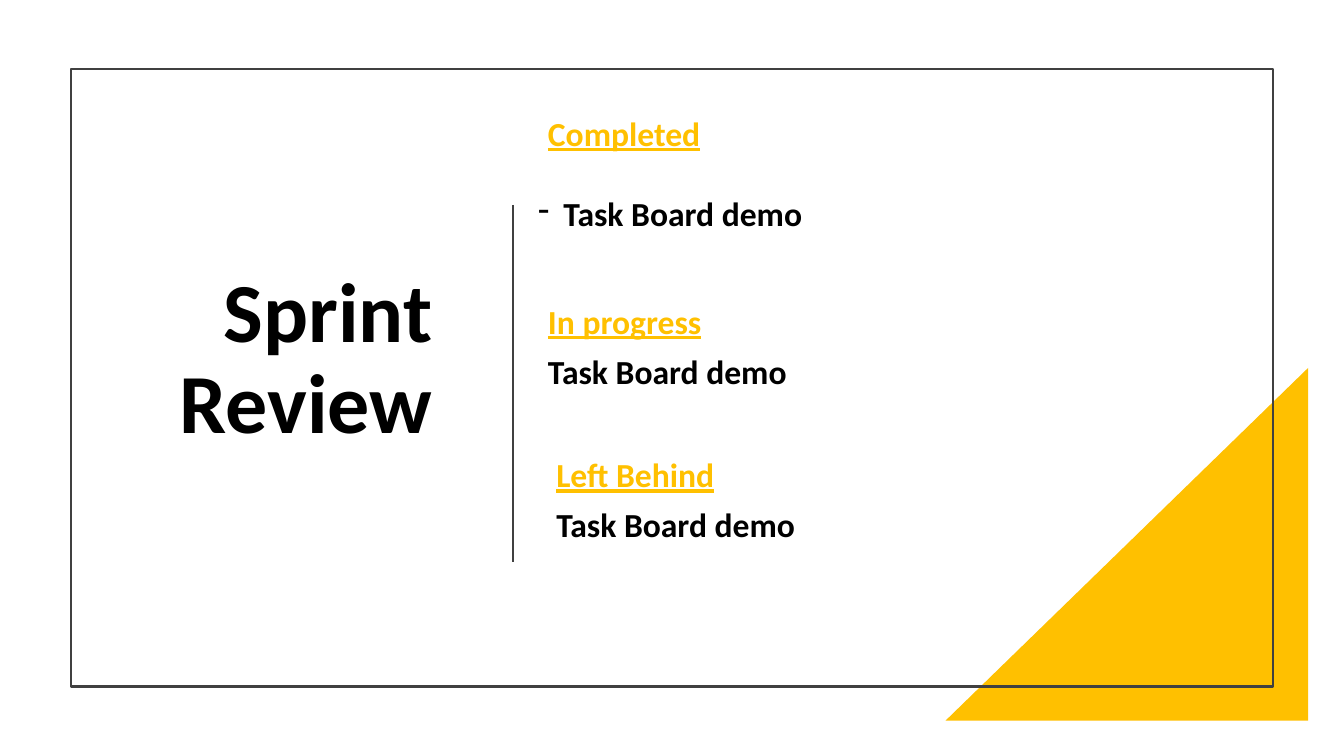
import pptx
import pptx.dml.color
import pptx.enum.shapes
import pptx.enum.text
import pptx.oxml.ns
import pptx.util
from lxml import etree
from pptx.util import Cm, Pt

THEME = {
    "font": "Calibri",
    "accent": "FFC000",
    "ink": "000000",
    "rule": "404040",
    "title_size": 60,
    "body_size": 24,
    "rule_width": 1.5,
}

TITLE = "Sprint Review"
# Each section part: left, top (cm), then (text, style) paragraphs
SECTIONS = [
    (13.56, 1.35, [("Completed", "heading")]),
    (13.31, 3.38, [("Task Board demo", "bullet")]),
    (13.56, 6.73, [("In progress", "heading"), ("Task Board demo", "item")]),
    (13.77, 10.59, [("Left Behind", "heading"), ("Task Board demo", "item")]),
]
SECTION_SIZE = (14.91, 4.11)
TITLE_BOX = (3, 3.3, 8.15, 11.58)
FRAME_BOX = (1.78, 1.73, 30.3, 15.57)
CORNER_BOX = (23.83, 9.27, 9.14, 8.89)
DIVIDER = (12.93, 5.16, 12.93, 14.15)

SHAPES = pptx.enum.shapes.MSO_SHAPE
ALIGN = pptx.enum.text.PP_ALIGN


def color(name):
    return pptx.dml.color.RGBColor.from_string(THEME[name])


def lengths(values):
    return [Cm(value) for value in values]


def draw_rule(line):
    line.color.rgb = color("rule")
    line.width = Pt(THEME["rule_width"])


def add_text_box(slide, box, paragraphs):
    """Add a middle-anchored box and return its paragraphs, one per text."""
    frame = slide.shapes.add_textbox(*lengths(box)).text_frame
    frame.word_wrap = True
    frame.vertical_anchor = pptx.enum.text.MSO_ANCHOR.MIDDLE
    frame.text = "\n".join(paragraphs)
    return frame.paragraphs


def style_paragraph(paragraph, size, color_name, underline=False):
    paragraph.line_spacing = 0.9
    for run in paragraph.runs:
        run.font.name = THEME["font"]
        run.font.size = Pt(THEME[size])
        run.font.bold = True
        run.font.underline = underline
        run.font.color.rgb = color(color_name)


def add_dash(paragraph):
    properties = paragraph._p.get_or_add_pPr()
    indent = Cm(0.64)
    properties.set("marL", str(indent))
    properties.set("indent", str(-indent))
    dash = etree.SubElement(properties, pptx.oxml.ns.qn("a:buChar"))
    dash.set("char", "-")


def add_backdrop(slide):
    corner = slide.shapes.add_shape(SHAPES.RIGHT_TRIANGLE, *lengths(CORNER_BOX))
    corner.shadow.inherit = False
    corner.fill.solid()
    corner.fill.fore_color.rgb = color("accent")
    corner.line.fill.background()
    corner.element.spPr.find(pptx.oxml.ns.qn("a:xfrm")).set("flipH", "1")

    frame = slide.shapes.add_shape(SHAPES.RECTANGLE, *lengths(FRAME_BOX))
    frame.shadow.inherit = False
    frame.fill.background()
    draw_rule(frame.line)


def add_divider(slide):
    divider = slide.shapes.add_connector(
        pptx.enum.shapes.MSO_CONNECTOR.STRAIGHT, *lengths(DIVIDER))
    draw_rule(divider.line)
    etree.SubElement(divider.element.spPr, pptx.oxml.ns.qn("a:effectLst"))


def main():
    deck = pptx.Presentation()
    deck.slide_width, deck.slide_height = Cm(33.87), Cm(19.05)
    slide = deck.slides.add_slide(deck.slide_layouts[6])

    add_backdrop(slide)
    title = add_text_box(slide, TITLE_BOX, [TITLE])[0]
    title.alignment = ALIGN.RIGHT
    style_paragraph(title, "title_size", "ink")
    add_divider(slide)

    for left, top, entries in SECTIONS:
        paragraphs = add_text_box(
            slide, (left, top, *SECTION_SIZE), [text for text, _ in entries])
        for paragraph, (_, style) in zip(paragraphs, entries):
            heading = style == "heading"
            style_paragraph(
                paragraph, "body_size", "accent" if heading else "ink", heading)
            paragraph.space_before = Pt(10)
            if style == "bullet":
                add_dash(paragraph)

    deck.save("out.pptx")


if __name__ == "__main__":
    main()
